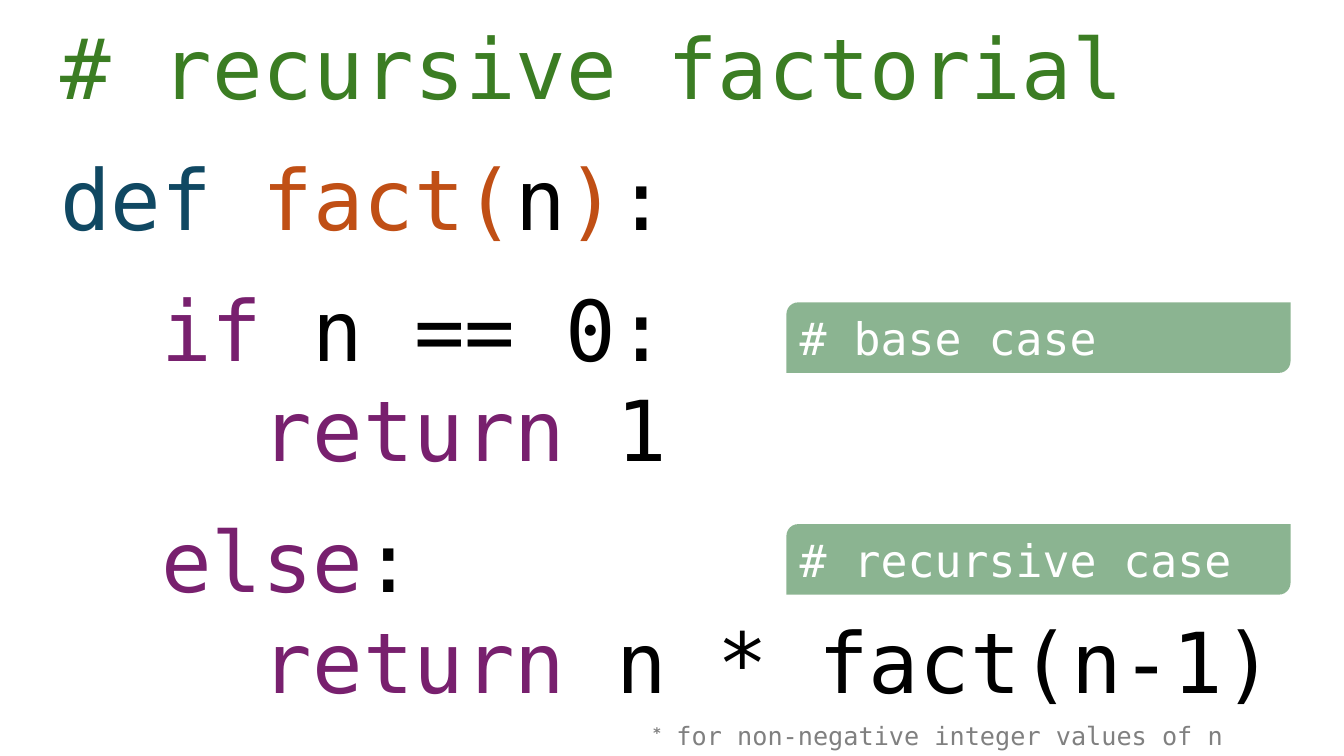
from pptx import Presentation
from pptx.dml.color import RGBColor
from pptx.enum.shapes import MSO_SHAPE
from pptx.enum.text import MSO_ANCHOR, MSO_AUTO_SIZE, PP_ALIGN
from pptx.oxml.ns import qn
from pptx.util import Inches, Pt
from lxml import etree

FONT = "DejaVu Sans Mono"
BLACK, WHITE, GRAY = "000000", "FFFFFF", "808080"
GREEN, BLUE, ORANGE, PURPLE = "3B7D23", "104862", "C04F15", "78206E"
LABEL = "196B24"
STEP = 1.0  # width of a two-character indent, in inches
GAP = 21.6  # space above a new code block, in points

# Each line: indent level, space before, runs of (text, colour)
CODE = [
    (0, 0, [("# recursive factorial", GREEN)]),
    (0, GAP, [("def ", BLUE), ("fact(", ORANGE), ("n", BLACK),
              (")", ORANGE), (":", BLACK)]),
    (1, GAP, [("if", PURPLE), (" n == 0:", BLACK)]),
    (2, 0, [("return", PURPLE), (" 1", BLACK)]),
    (1, GAP, [("else", PURPLE), (":", BLACK)]),
    (2, 0, [("return", PURPLE), (" n * fact(n-1)", BLACK)]),
]
LABELS = [("# base case", 3.0), ("# recursive case", 5.2)]


def paint(target, color):
    target.rgb = RGBColor.from_string(color)


def style(para, size, color=None):
    para.font.name = FONT
    para.font.size = Pt(size)
    if color:
        paint(para.font.color, color)


def add_run(para, text):
    run = para.add_run()
    run.text = text
    return run


def add_box(slide, left, top, width, height):
    box = slide.shapes.add_textbox(
        Inches(left), Inches(top), Inches(width), Inches(height))
    frame = box.text_frame
    frame.word_wrap = True
    frame.auto_size = MSO_AUTO_SIZE.SHAPE_TO_FIT_TEXT
    return frame


def add_code(slide):
    frame = add_box(slide, 0.5, 0.1, 12.3, 7.17)
    for i, (level, gap, parts) in enumerate(CODE):
        para = frame.add_paragraph() if i else frame.paragraphs[0]
        style(para, 60)
        para.space_before = Pt(gap)
        para._p.get_or_add_pPr().set("marL", str(Inches(level * STEP)))
        for text, color in parts:
            paint(add_run(para, text).font.color, color)


def add_note(slide):
    para = add_box(slide, 6, 7.1, 6.6, 0.4).paragraphs[0]
    para.alignment = PP_ALIGN.CENTER
    style(para, 18, GRAY)
    star = add_run(para, "*")
    star.font.bold = True
    star.font._element.set("baseline", "30000")
    add_run(para, " for non-negative integer values of n")


def add_label(slide, text, top):
    shape = slide.shapes.add_shape(
        MSO_SHAPE.ROUND_2_DIAG_RECTANGLE,
        Inches(7.8), Inches(top), Inches(5), Inches(0.7))
    shape.shadow.inherit = False
    shape.line.fill.background()
    shape.fill.solid()
    paint(shape.fill.fore_color, LABEL)
    tint = shape._element.spPr.find(qn("a:solidFill"))[0]
    etree.SubElement(tint, qn("a:alpha")).set("val", "50000")
    frame = shape.text_frame
    frame.word_wrap = True
    frame.vertical_anchor = MSO_ANCHOR.MIDDLE
    para = frame.paragraphs[0]
    para.alignment = PP_ALIGN.LEFT
    style(para, 32, WHITE)
    add_run(para, text)


def main():
    deck = Presentation()
    deck.slide_width, deck.slide_height = Inches(13.33), Inches(7.5)
    slide = deck.slides.add_slide(deck.slide_layouts[6])
    add_code(slide)
    add_note(slide)
    for text, top in LABELS:
        add_label(slide, text, top)
    deck.save("out.pptx")


if __name__ == "__main__":
    main()
